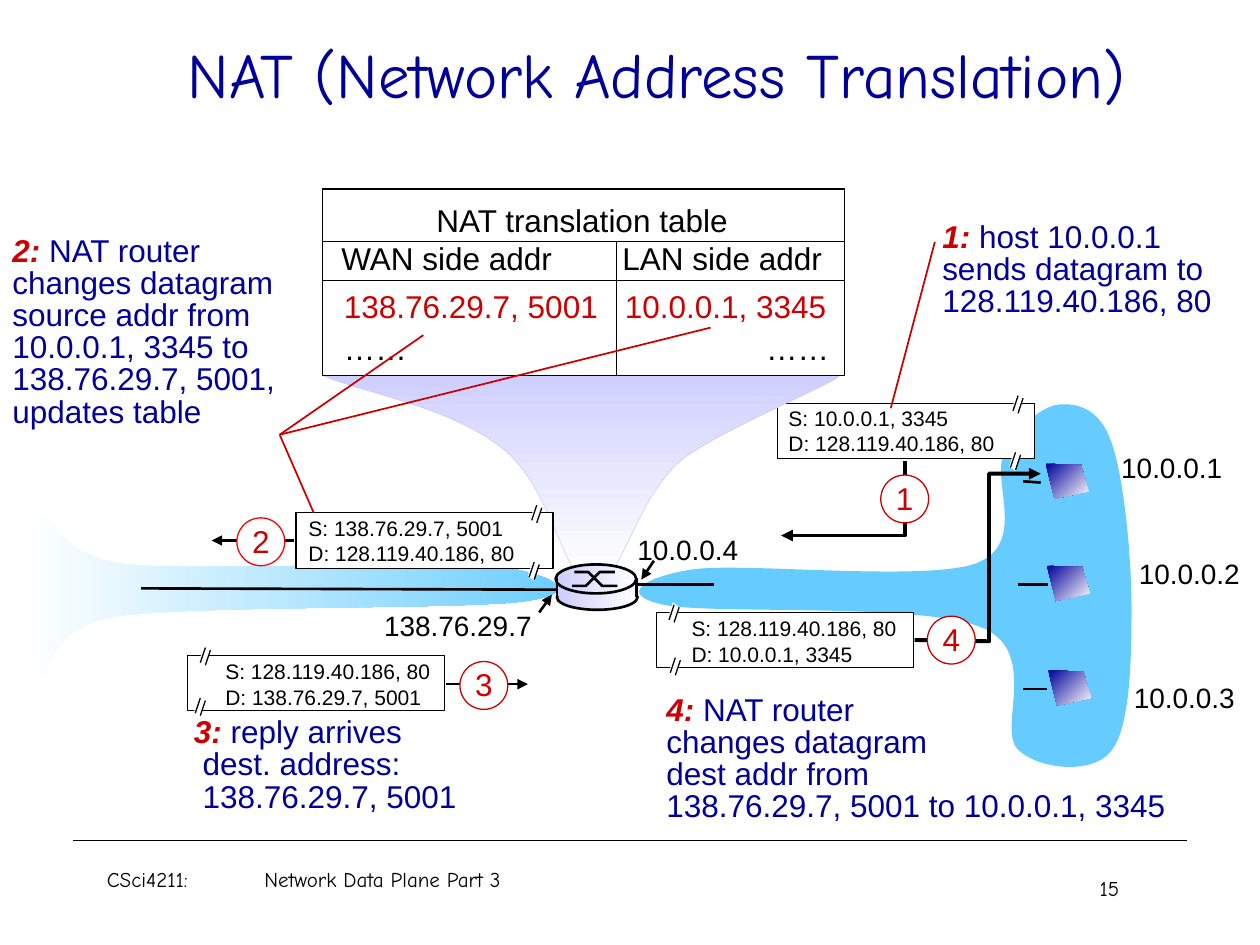
from pptx import Presentation
from pptx.dml.color import RGBColor
from pptx.enum.shapes import MSO_CONNECTOR, MSO_SHAPE
from pptx.enum.text import MSO_ANCHOR, MSO_AUTO_SIZE, PP_ALIGN
from pptx.oxml.ns import qn
from pptx.util import Pt
from lxml.etree import SubElement

PX = 9144  # EMU per px; the slide is 1000 x 750 px
BLACK = RGBColor(0x00, 0x00, 0x00)
WHITE = RGBColor(0xFF, 0xFF, 0xFF)
NAVY = RGBColor(0x00, 0x00, 0x99)
RED = RGBColor(0xCC, 0x00, 0x00)
BRIGHT_RED = RGBColor(0xFF, 0x00, 0x00)
SKY = RGBColor(0x66, 0xCC, 0xFF)
LILAC = RGBColor(0xCC, 0xCC, 0xFF)

BODY = {"name": "Arial", "size": Pt(18), "color": BLACK}
LABEL = {**BODY, "size": Pt(16)}
SMALL = {**BODY, "size": Pt(12)}
ENTRY = {**BODY, "color": RED}
NOTE = {**BODY, "color": NAVY}
LEAD = {**ENTRY, "bold": True, "italic": True}
TITLE = {"name": "Comic Neue", "size": Pt(36), "color": NAVY}
FOOTER = {**TITLE, "size": Pt(12), "color": BLACK}


def emu(*lengths):
    return [v * PX for v in lengths]


def add_run(p, text, fmt):
    r = p.add_run()
    r.text = text
    for key, value in fmt.items():
        if key == "color":
            r.font.color.rgb = value
        else:
            setattr(r.font, key, value)


class Diagram:
    def __init__(self, slide):
        self.s = slide

    def paint(self, sp, fill, line, width, angle):
        """A fill is None, one colour, or a pair of gradient colours."""
        sp.shadow.inherit = False
        if fill is None:
            sp.fill.background()
        elif isinstance(fill, RGBColor):
            sp.fill.solid()
            sp.fill.fore_color.rgb = fill
        else:
            sp.fill.gradient()
            sp.fill.gradient_angle = (360 - angle) % 360
            for stop, color in zip(sp.fill.gradient_stops, fill):
                stop.color.rgb = color
        if line is None:
            sp.line.fill.background()
        else:
            sp.line.color.rgb = line
            sp.line.width = Pt(width)

    def arrowhead(self, sp):
        SubElement(sp.line._get_or_add_ln(), qn("a:tailEnd"), type="triangle")

    def shape(self, kind, x, y, w, h, fill, line=None, width=0.75, angle=0):
        sp = self.s.shapes.add_shape(kind, *emu(x, y, w, h))
        self.paint(sp, fill, line, width, angle)
        return sp

    def free(self, pts, fill=None, line=None, width=0.75, angle=0, arrow=False):
        pts = [emu(*pt) for pt in pts]
        builder = self.s.shapes.build_freeform(*pts[0])
        builder.add_line_segments(pts[1:], close=False)
        sp = builder.convert_to_shape()
        if fill is not None:
            SubElement(next(sp._element.iter(qn("a:path"))), qn("a:close"))
        self.paint(sp, fill, line, width, angle)
        if arrow:
            self.arrowhead(sp)
        return sp

    def curve(self, pts, *style):
        """Closed outline: a start, then three points for each cubic curve."""
        outline = next(self.free(pts, *style)._element.iter(qn("a:path")))
        steps = outline.findall(qn("a:lnTo"))
        for i in range(0, len(steps), 3):
            bezier = SubElement(outline, qn("a:cubicBezTo"))
            steps[i].addprevious(bezier)
            for step in steps[i:i + 3]:
                bezier.append(step[0])
                outline.remove(step)

    def line(self, x1, y1, x2, y2, color=BLACK, width=1.5, arrow=False):
        sp = self.s.shapes.add_connector(MSO_CONNECTOR.STRAIGHT, *emu(x1, y1, x2, y2))
        sp.line.color.rgb = color
        sp.line.width = Pt(width)
        if arrow:
            self.arrowhead(sp)
        SubElement(sp._element.spPr, qn("a:effectLst"))

    def text(self, x, y, w, h, lines, fmt, wrap=False, grow=True, align=PP_ALIGN.LEFT,
             lead="", spacing=None, indent=0, tab=None):
        """Lead is a bold red start; indent moves every line but the first."""
        tf = self.s.shapes.add_textbox(*emu(x, y, w, h)).text_frame
        tf.word_wrap = wrap
        tf.auto_size = MSO_AUTO_SIZE.SHAPE_TO_FIT_TEXT if grow else MSO_AUTO_SIZE.NONE
        for i, content in enumerate(lines):
            p = tf.add_paragraph() if i else tf.paragraphs[0]
            p.alignment = align
            p.line_spacing = spacing
            if i and indent:
                p._p.get_or_add_pPr().set("marL", str(indent * PX))
            if tab:
                tabs = SubElement(p._p.get_or_add_pPr(), qn("a:tabLst"))
                SubElement(tabs, qn("a:tab"), pos=str(tab * PX), algn="l")
            if lead and not i:
                add_run(p, lead, LEAD)
            add_run(p, content, fmt)

    def note(self, x, y, w, h, lead, lines, indent=0):
        self.text(x, y, w, h, lines, NOTE, lead=lead, spacing=0.85, indent=indent)

    def cut(self, x, y):
        """Break mark across the edge of a packet."""
        self.free([(x + 4, y), (x, y + 13), (x + 5, y + 17), (x + 9, y + 4)], WHITE)
        for dx, dy in ((5, 2), (9, 4)):
            self.line(x + dx, y + dy, x + dx - 4, y + dy + 12, width=0.75)

    def packet(self, x, y, source, dest, text_at, cuts):
        self.shape(MSO_SHAPE.RECTANGLE, x, y, 204, 44, WHITE, BLACK)
        dx, dy = text_at
        self.text(x + dx, y + dy, 194, 50, [f"S: {source}", f"D: {dest}"], SMALL, wrap=True)
        for dx, dy in cuts:
            self.cut(x + dx, y + dy)

    def badge(self, x, y, number, outline=RED):
        tf = self.shape(MSO_SHAPE.OVAL, x, y, 38, 38, WHITE, outline).text_frame
        tf.margin_left, tf.margin_right, tf.margin_top, tf.margin_bottom = emu(0, 0, 0, 2)
        tf.word_wrap = False
        tf.vertical_anchor = MSO_ANCHOR.MIDDLE
        tf.paragraphs[0].alignment = PP_ALIGN.CENTER
        add_run(tf.paragraphs[0], number, ENTRY)

    def cell(self, cell, lines, margins=(0, 0, 0, 0), anchor=MSO_ANCHOR.TOP):
        """Lines are (text, format, alignment); margins are left, right, top, bottom."""
        tcPr = cell._tc.get_or_add_tcPr()
        for side in ("a:lnL", "a:lnR", "a:lnT", "a:lnB"):
            ln = SubElement(tcPr, qn(side), w=str(Pt(0.75)))
            SubElement(SubElement(ln, qn("a:solidFill")), qn("a:srgbClr"), val=str(BLACK))
        cell.fill.solid()
        cell.fill.fore_color.rgb = WHITE
        cell.margin_left, cell.margin_right, cell.margin_top, cell.margin_bottom = emu(*margins)
        cell.vertical_anchor = anchor
        for i, (content, fmt, align) in enumerate(lines):
            p = cell.text_frame.add_paragraph() if i else cell.text_frame.paragraphs[0]
            p.alignment = align
            if i:
                p.space_before = Pt(4)
            add_run(p, content, fmt)

    def nat_table(self, x, y, widths, heights):
        table = self.s.shapes.add_table(3, 2, *emu(x, y, sum(widths), sum(heights))).table
        table.first_row = table.horz_banding = False
        for col, w in zip(table.columns, widths):
            col.width = w * PX
        for row, h in zip(table.rows, heights):
            row.height = h * PX
        left, right = PP_ALIGN.LEFT, PP_ALIGN.RIGHT
        title = [("NAT translation table", BODY, PP_ALIGN.CENTER)]
        self.cell(table.cell(0, 0), title, (0, 2, 0, 2), MSO_ANCHOR.BOTTOM)
        self.cell(table.cell(0, 1), [])
        table.cell(0, 0).merge(table.cell(0, 1))
        columns = (("WAN side addr", "138.76.29.7, 5001", left, 15, 0),
                   ("LAN side addr", "10.0.0.1, 3345", right, 5, 12))
        for c, (head, entry, dots, ml, mr) in enumerate(columns):
            self.cell(table.cell(1, c), [(head, BODY, left)], (ml, 0, 0, 0))
            self.cell(table.cell(2, c), [(entry, ENTRY, left), ("……", BODY, dots)], (ml + 2, mr, 7, 0))

    def router(self):
        shade = (LILAC, WHITE)
        self.shape(MSO_SHAPE.OVAL, 442, 464, 64, 20, shade, BLACK, 1.5)
        self.shape(MSO_SHAPE.RECTANGLE, 442, 461, 64, 12, shade)
        self.shape(MSO_SHAPE.OVAL, 441, 448, 64, 23, shade, BLACK, 1.5)
        for x, y1, y2 in ((454, 465, 454), (456, 454, 465)):
            self.free([(x, y1), (x + 11, y1), (x + 22, y2), (x + 34, y2)], line=BLACK, width=1.5)
        for x in (442, 505):
            self.line(x, 459, x, 474)


def main():
    prs = Presentation()
    prs.slide_width, prs.slide_height = emu(1000, 750)
    d = Diagram(prs.slides.add_slide(prs.slide_layouts[6]))
    d.line(58, 667, 942, 667, width=0.75)

    wan = [(392, 449), (339, 444), (162, 454), (102, 448), (42, 443), (43, 399), (31, 414),
           (20, 428), (21, 522), (31, 535), (42, 548), (29, 499), (93, 489),
           (158, 480), (368, 484), (417, 477), (467, 470), (436, 455), (392, 449)]
    lan = [(549, 452), (591, 446), (734, 462), (775, 447), (816, 431), (786, 381), (797, 360),
           (807, 339), (827, 322), (841, 321), (855, 320), (873, 324), (882, 351),
           (892, 378), (898, 442), (898, 483), (898, 524), (897, 577), (882, 596),
           (867, 615), (825, 611), (808, 595), (791, 579), (826, 517), (779, 498),
           (732, 478), (565, 488), (527, 480), (489, 472), (511, 458), (549, 452)]
    funnel = [(256, 298), (256, 298), (617, 287), (665, 298), (679, 297), (571, 341), (541, 365),
              (511, 390), (497, 441), (484, 455), (484, 455), (458, 455), (458, 455),
              (444, 438), (432, 382), (399, 356), (358, 323), (289, 312), (256, 298)]
    d.curve(wan, (WHITE, SKY))
    d.curve(lan, SKY)
    for ends in ((501, 464, 567, 464), (812, 382, 826, 383), (812, 547, 831, 547)):
        d.line(*ends)
    for x, y, host in ((880, 353, "10.0.0.1"), (894, 437, "10.0.0.2"), (890, 535, "10.0.0.3")):
        d.text(x, y, 101, 37, [host], LABEL)

    right_cuts = ((186, -8), (184, 37))
    d.packet(617, 320, "10.0.0.1, 3345", "128.119.40.186, 80", (-1, -3), right_cuts)
    d.free([(718, 366), (718, 425), (620, 425)], line=BLACK, width=2.25, arrow=True)
    d.badge(699, 377, "1")
    d.text(496, 418, 101, 37, ["10.0.0.4"], LABEL)
    d.line(519, 445, 509, 460, arrow=True)
    d.text(295, 478, 138, 37, ["138.76.29.7"], LABEL)
    d.line(428, 486, 438, 472, arrow=True)
    d.note(738, 172, 235, 87, "1: ", ["host 10.0.0.1", "sends datagram to", "128.119.40.186, 80"])
    d.line(742, 192, 707, 324, RED, 1)

    d.curve(funnel, (LILAC, WHITE), LILAC, 0.25, 90)
    d.nat_table(256, 150, (233, 181), (42, 31, 75))

    d.packet(521, 486, "128.119.40.186, 80", "10.0.0.1, 3345", (18, -2), ((9, -8), (10, 34)))
    d.free([(726, 508), (785, 509), (785, 376), (826, 376)], line=BLACK, width=2.25, arrow=True)
    d.badge(736, 489, "4")
    d.packet(235, 407, "138.76.29.7, 5001", "128.119.40.186, 80", (0, -3), right_cuts)
    d.line(233, 429, 168, 429, arrow=True)
    d.badge(188, 411, "2", BRIGHT_RED)
    d.note(0, 183, 230, 163, "2: ", ["NAT router", "changes datagram", "source addr from",
                                     "10.0.0.1, 3345 to", "138.76.29.7, 5001,", "updates table"])
    for x, y in ((249, 407), (336, 266), (564, 260)):
        d.line(222, 345, x, y, RED, 1)
    d.packet(149, 520, "128.119.40.186, 80", "138.76.29.7, 5001", (20, -2), ((9, -8), (5, 32)))
    d.line(354, 543, 419, 543, arrow=True)
    d.badge(365, 525, "3")
    d.note(144, 565, 230, 87, "3: ", ["reply arrives", "dest. address:", "138.76.29.7, 5001"], 7)
    d.note(519, 547, 423, 142, "4: ", ["NAT router", "changes datagram", "dest addr from",
                                       "138.76.29.7, 5001 to 10.0.0.1, 3345"])
    d.line(112, 467, 443, 468)
    d.router()
    for x, y in ((830, 368), (831, 449), (832, 532)):
        d.free([(x, y), (x + 28, y + 1), (x + 34, y + 22), (x + 7, y + 28)], (NAVY, WHITE), angle=45)
    d.line(808, 464, 832, 464)

    fixed = {"wrap": True, "grow": False}
    d.text(75, 23, 892, 125, ["NAT (Network Address Translation)"], TITLE, align=PP_ALIGN.CENTER, **fixed)
    d.text(718, 690, 325, 50, ["15"], FOOTER, align=PP_ALIGN.CENTER, **fixed)
    d.text(75, 683, 392, 33, ["CSci4211:\tNetwork Data Plane Part 3"], FOOTER, tab=125, **fixed)
    prs.save("out.pptx")


if __name__ == "__main__":
    main()
